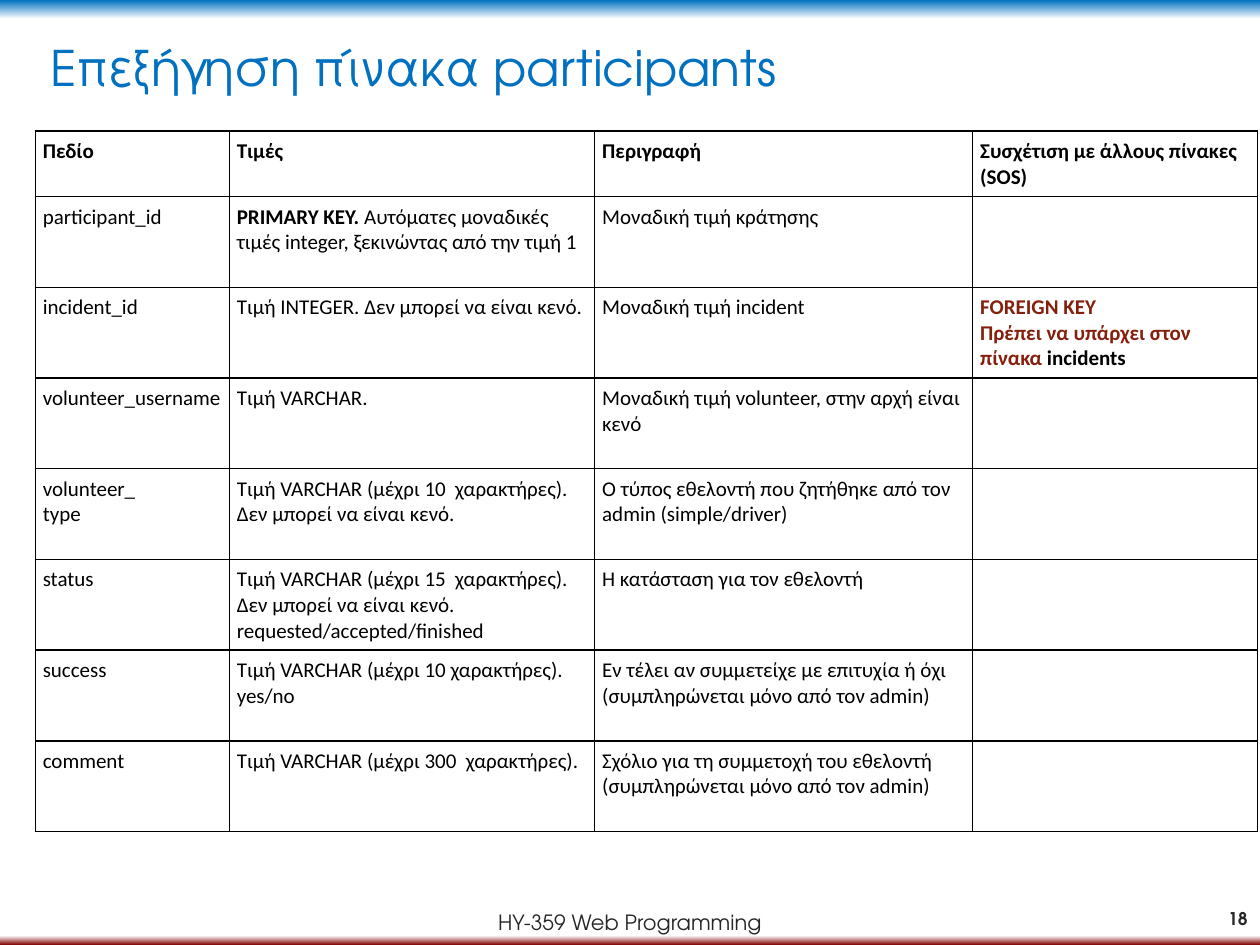
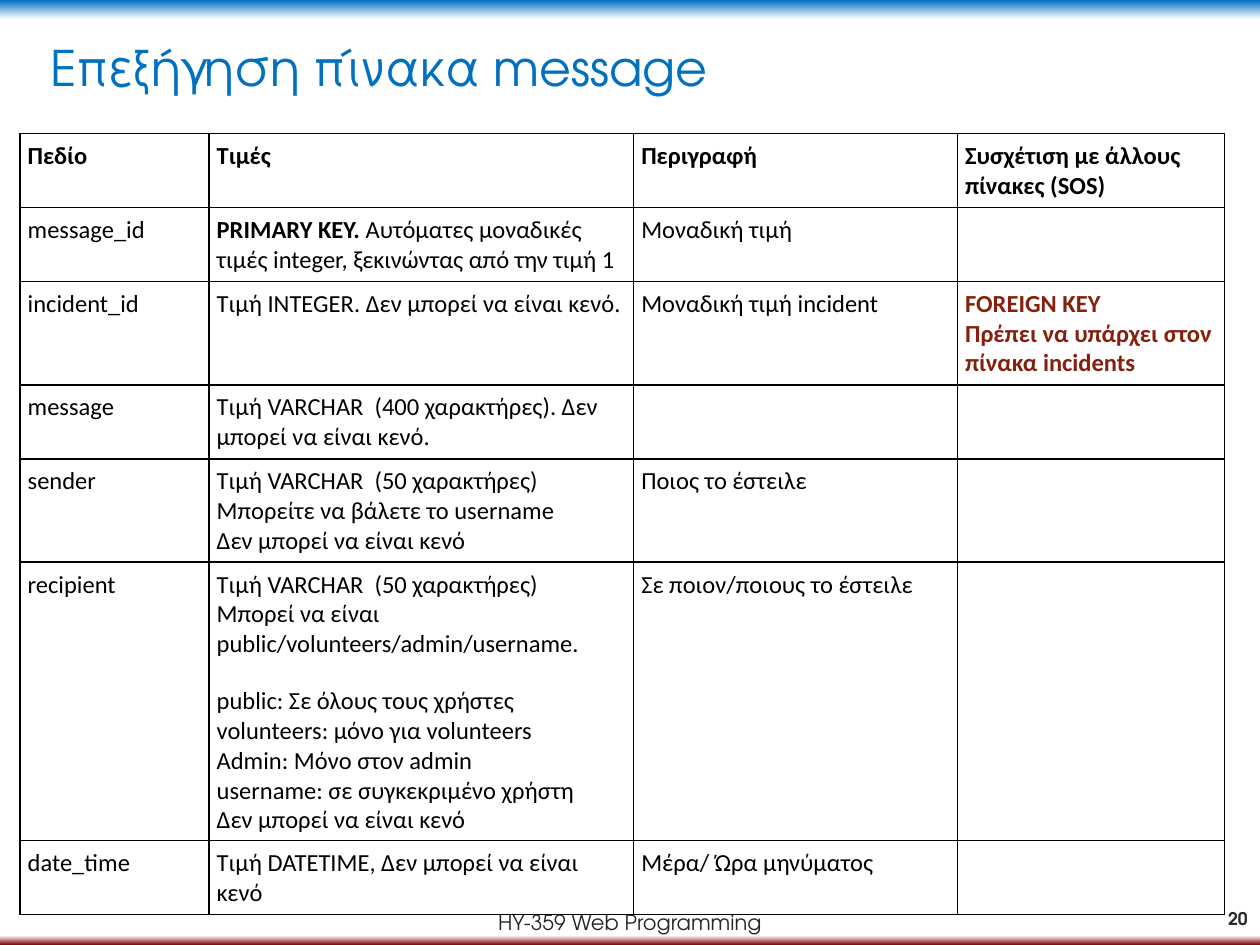
from lxml import etree
from pptx import Presentation
from pptx.dml.color import RGBColor
from pptx.enum.shapes import MSO_SHAPE
from pptx.enum.text import MSO_ANCHOR, MSO_AUTO_SIZE, PP_ALIGN
from pptx.oxml.ns import qn
from pptx.util import Inches, Pt

LEFT, CENTER, RIGHT = PP_ALIGN.LEFT, PP_ALIGN.CENTER, PP_ALIGN.RIGHT
TOP, MIDDLE = MSO_ANCHOR.TOP, MSO_ANCHOR.MIDDLE
NO_AUTOFIT = MSO_AUTO_SIZE.NONE
RECTANGLE = MSO_SHAPE.RECTANGLE
TITLE_ONLY = 5

BLUE = RGBColor(0x00, 0x70, 0xC0)
MAROON = RGBColor(0x80, 0x00, 0x00)
BRICK = RGBColor(0x85, 0x20, 0x0C)
GRAY = RGBColor(0x26, 0x26, 0x26)
WHITE = RGBColor(0xFF, 0xFF, 0xFF)
BLACK = RGBColor(0x00, 0x00, 0x00)

DISPLAY_FONT, TABLE_FONT = "TeX Gyre Adventor", "Calibri"
BACKGROUND_STOPS = [(0, BLUE), (2, WHITE), (99, WHITE), (100, MAROON)]
CELL_MARGIN = Inches(0.06)

# Left, top, width, height in inches
PANEL_BOX = (0.5, 0.36, 9.22, 6.76)
TITLE_BOX = (0.3, 0.25, 9.41, 0.71)
FOOTER_BOX = (0, 7.09, 10, 0.45)
NUMBER_BOX = (9.46, 7.09, 0.54, 0.4)

# Table wording: a cell is a text or a list of paragraphs;
# a paragraph is a text or a list of (text, format) spans
BOLD = {"bold": True}
KEY = {"bold": True, "color": BRICK}
HEADINGS = ["Πεδίο", "Τιμές", "Περιγραφή", "Συσχέτιση με άλλους πίνακες (SOS)"]
PRIMARY_KEY = [[("PRIMARY KEY.", BOLD),
                (" Αυτόματες μοναδικές τιμές integer, ξεκινώντας από την τιμή 1", {})]]
FOREIGN_KEY = [("FOREIGN KEY", KEY)]
MUST_EXIST = ("Πρέπει να υπάρχει στον πίνακα ", KEY)
INCIDENT = ["incident_id", "Τιμή INTEGER. Δεν μπορεί να είναι κενό.",
            "Μοναδική τιμή incident"]

PARTICIPANTS = [
    ["participant_id", PRIMARY_KEY, "Μοναδική τιμή κράτησης", ""],
    INCIDENT + [[FOREIGN_KEY, [MUST_EXIST, ("incidents", BOLD)]]],
    ["volunteer_username", "Τιμή VARCHAR.",
     "Μοναδική τιμή volunteer, στην αρχή είναι κενό", ""],
    [["volunteer_", "type"],
     "Τιμή VARCHAR (μέχρι 10  χαρακτήρες). Δεν μπορεί να είναι κενό.",
     "Ο τύπος εθελοντή που ζητήθηκε από τον admin (simple/driver)", ""],
    ["status",
     "Τιμή VARCHAR (μέχρι 15  χαρακτήρες). Δεν μπορεί να είναι κενό. "
     "requested/accepted/finished",
     "Η κατάσταση για τον εθελοντή", ""],
    ["success", ["Τιμή VARCHAR (μέχρι 10 χαρακτήρες).", "yes/no"],
     "Εν τέλει αν συμμετείχε με επιτυχία ή όχι "
     "(συμπληρώνεται μόνο από τον admin)", ""],
    ["comment", "Τιμή VARCHAR (μέχρι 300  χαρακτήρες).",
     "Σχόλιο για τη συμμετοχή του εθελοντή "
     "(συμπληρώνεται μόνο από τον admin)", ""],
]

MESSAGE = [
    ["message_id", PRIMARY_KEY, "Μοναδική τιμή", ""],
    INCIDENT + [[FOREIGN_KEY, [MUST_EXIST, ("incidents", KEY)]]],
    ["message", "Τιμή VARCHAR  (400 χαρακτήρες). Δεν μπορεί να είναι κενό.", "", ""],
    ["sender",
     ["Τιμή VARCHAR  (50 χαρακτήρες)", "Μπορείτε να βάλετε το username",
      "Δεν μπορεί να είναι κενό"],
     "Ποιος το έστειλε", ""],
    ["recipient",
     ["Τιμή VARCHAR  (50 χαρακτήρες)",
      "Μπορεί να είναι public/volunteers/admin/username.",
      [("public: Σε όλους τους χρήστες", {"space_before": 15.5})],
      "volunteers: μόνο για volunteers",
      "Admin: Μόνο στον admin",
      "username: σε συγκεκριμένο χρήστη",
      "Δεν μπορεί να είναι κενό"],
     "Σε ποιον/ποιους το έστειλε", ""],
    ["date_time", "Τιμή DATETIME, Δεν μπορεί να είναι κενό",
     "Μέρα/ Ώρα μηνύματος", ""],
]


def inches(box):
    return [Inches(length) for length in box]


def add_span(para, text, size, font=TABLE_FONT, color=BLACK, bold=False,
             align=LEFT, space_before=0):
    """Add formatted text to a paragraph."""
    para.alignment = align
    if space_before:
        para.space_before = Pt(space_before)
    span = para.add_run()
    span.text = text
    span.font.size, span.font.name = Pt(size), font
    span.font.bold, span.font.color.rgb = bold, color


def add_gradient(parent, stops, angle):
    gradient = etree.SubElement(parent, qn("a:gradFill"), rotWithShape="1")
    stop_list = etree.SubElement(gradient, qn("a:gsLst"))
    for position, color in stops:
        stop = etree.SubElement(stop_list, qn("a:gs"), pos=str(position * 1000))
        etree.SubElement(stop, qn("a:srgbClr"), val=str(color))
    etree.SubElement(gradient, qn("a:lin"), ang=str(angle * 60000), scaled="0")
    return gradient


def paint_background(master):
    """Blue band at the top and maroon band at the bottom of every slide."""
    fill = master.background.fill
    fill.solid()
    fill.fore_color.rgb = WHITE
    properties = master._element.find(".//" + qn("p:bgPr"))
    solid = properties.find(qn("a:solidFill"))
    properties.replace(solid, add_gradient(properties, BACKGROUND_STOPS, 90))


def add_panel(page, box):
    panel = page.shapes.add_shape(RECTANGLE, *inches(box))
    panel.shadow.inherit = False
    panel.fill.solid()
    panel.fill.fore_color.rgb = WHITE
    panel.line.fill.background()
    page.shapes._spTree.insert(2, panel._element)


def set_title(page, text, box):
    title = page.shapes.title
    title.left, title.top, title.width, title.height = inches(box)
    frame = title.text_frame
    frame.auto_size, frame.vertical_anchor = NO_AUTOFIT, TOP
    frame.word_wrap = True
    add_span(frame.paragraphs[0], text, 28, font=DISPLAY_FONT, color=BLUE)


def add_label(page, text, box, size, **formats):
    frame = page.shapes.add_textbox(*inches(box)).text_frame
    frame.word_wrap, frame.vertical_anchor = True, MIDDLE
    add_span(frame.paragraphs[0], text, size, font=DISPLAY_FONT, color=GRAY, **formats)


def border_cell(cell):
    """Draw a thin black line on all four sides."""
    properties = cell._tc.get_or_add_tcPr()
    for index, side in enumerate(("lnL", "lnR", "lnT", "lnB")):
        line = etree.Element(qn("a:" + side), w=str(Pt(1)))
        fill = etree.SubElement(line, qn("a:solidFill"))
        etree.SubElement(fill, qn("a:srgbClr"), val=str(BLACK))
        properties.insert(index, line)


def fill_cell(cell, content, size, bold):
    cell.fill.background()
    border_cell(cell)
    cell.margin_left = cell.margin_right = CELL_MARGIN
    cell.margin_top = cell.margin_bottom = CELL_MARGIN
    if not content:
        return
    frame = cell.text_frame
    paragraphs = [content] if isinstance(content, str) else content
    for index, spans in enumerate(paragraphs):
        para = frame.add_paragraph() if index else frame.paragraphs[0]
        if isinstance(spans, str):
            spans = [(spans, {"bold": bold})]
        for text, formats in spans:
            add_span(para, text, size, **formats)


def add_field_table(page, rows, left, top, widths, heights, size):
    rows = [HEADINGS] + rows
    box = (left, top, sum(widths), sum(heights))
    table = page.shapes.add_table(len(rows), len(widths), *inches(box)).table
    table.first_row = table.horz_banding = False
    for column, width in zip(table.columns, widths):
        column.width = Inches(width)
    for row_index, (row, height) in enumerate(zip(rows, heights)):
        table.rows[row_index].height = Inches(height)
        for column_index, content in enumerate(row):
            fill_cell(table.cell(row_index, column_index), content, size,
                      bold=row_index == 0)


def add_table_page(deck, title, number, rows, **layout):
    page = deck.slides.add_slide(deck.slide_layouts[TITLE_ONLY])
    add_panel(page, PANEL_BOX)
    add_label(page, "HY-359 Web Programming", FOOTER_BOX, 12, align=CENTER)
    add_label(page, number, NUMBER_BOX, 10, align=RIGHT, bold=True)
    set_title(page, title, TITLE_BOX)
    add_field_table(page, rows, **layout)


def main():
    deck = Presentation()
    deck.slide_width, deck.slide_height = Inches(10), Inches(7.5)
    paint_background(deck.slide_master)
    add_table_page(deck, "Επεξήγηση πίνακα participants", "18", PARTICIPANTS,
                   left=0.28, top=1.04, widths=[1.54, 2.9, 3, 2.26],
                   heights=[0.52] + [0.72] * 7, size=12)
    add_table_page(deck, "Επεξήγηση πίνακα message", "20", MESSAGE,
                   left=0.16, top=1.06, widths=[1.5, 3.37, 2.57, 2.12],
                   heights=[0.58, 0.58, 0.81, 0.58, 0.81, 2.21, 0.58], size=14)
    deck.save("out.pptx")


if __name__ == "__main__":
    main()
